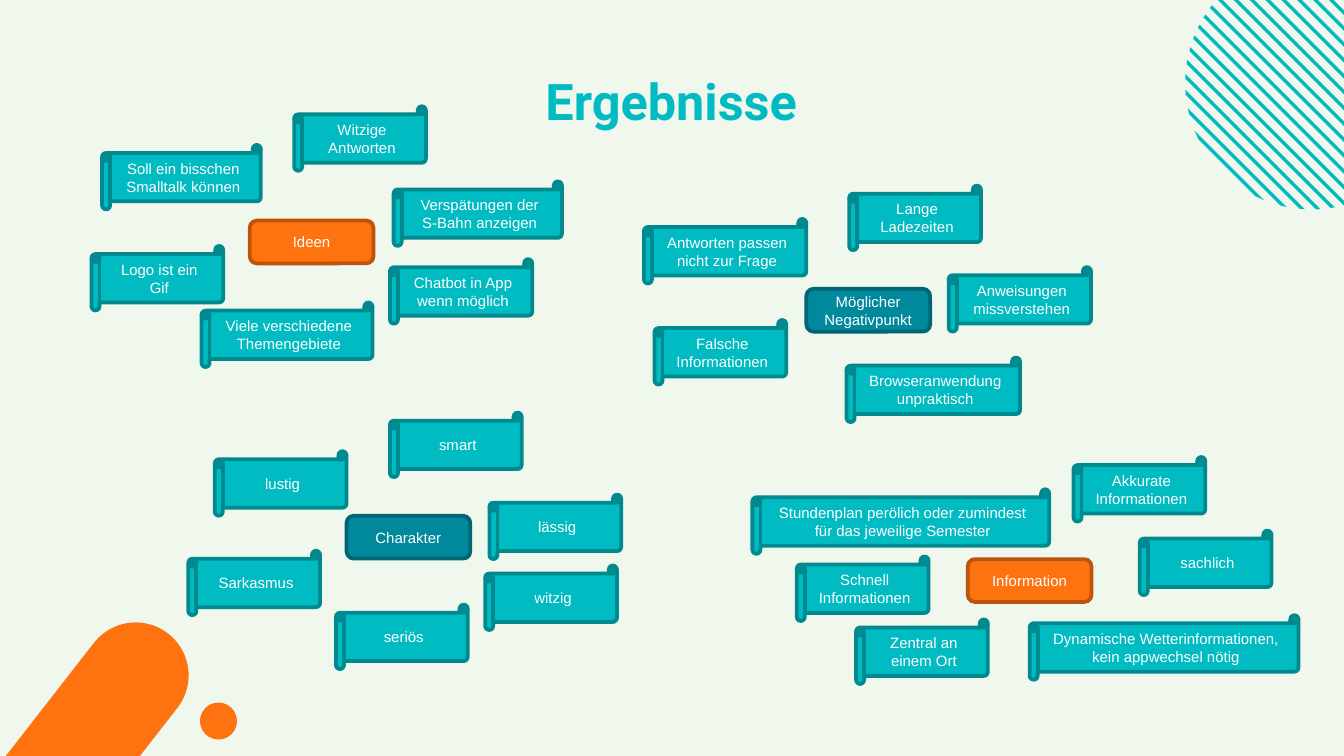
from dataclasses import dataclass
from math import sqrt

from pptx import Presentation
from pptx.dml.color import RGBColor
from pptx.enum.shapes import MSO_SHAPE
from pptx.enum.text import MSO_ANCHOR, MSO_AUTO_SIZE, PP_ALIGN
from pptx.util import Cm, Pt


@dataclass(frozen=True)
class Theme:
    background: str = "F0F7ED"
    turquoise: str = "00BBC1"
    turquoise_dark: str = "008A8F"
    orange: str = "FF7210"
    orange_dark: str = "BD540C"
    petrol: str = "00899D"
    petrol_dark: str = "006574"
    white: str = "FFFFFF"
    title_font: str = "Roboto"
    label_font: str = "Arial"
    title_size: int = 27
    label_size: int = 8
    line_width: int = 2


theme = Theme()


def paint(shape, fill, line=None):
    shape.shadow.inherit = False
    shape.fill.solid()
    shape.fill.fore_color.rgb = RGBColor.from_string(fill)
    if line:
        shape.line.color.rgb = RGBColor.from_string(line)
        shape.line.width = Pt(theme.line_width)
    else:
        shape.line.fill.background()


def write(shape, text, font, size, color, bold=False):
    shape.text_frame.text = text
    shape.text_frame.word_wrap = True
    paragraph = shape.text_frame.paragraphs[0]
    paragraph.alignment = PP_ALIGN.CENTER
    run = paragraph.runs[0]
    run.font.name = font
    run.font.size = Pt(size)
    run.font.bold = bold
    run.font.color.rgb = RGBColor.from_string(color)


# Slide and background
presentation = Presentation()
presentation.slide_width = Cm(25.4)
presentation.slide_height = Cm(14.29)
slide = presentation.slides.add_slide(presentation.slide_layouts[5])
slide.background.fill.solid()
slide.background.fill.fore_color.rgb = RGBColor.from_string(theme.background)

# Striped circle: 45-degree bands, each cut off where it meets the circle
center_x, center_y, radius = 24.79, 1.57, 2.39
stripe_count, stripe_step, stripe_width = 18, 0.3, 0.09
first_stripe = 25.16 - (center_x - center_y)
for index in range(stripe_count):
    middle = first_stripe - index * stripe_step
    corners = []
    for side in (1, -1):
        offset = middle + side * stripe_width / 2
        reach = sqrt(radius ** 2 / 2 - offset ** 2 / 4)
        for end in (-side, side):
            corners.append((Cm(center_x + offset / 2 + end * reach),
                            Cm(center_y - offset / 2 + end * reach)))
    builder = slide.shapes.build_freeform(*corners[0])
    builder.add_line_segments(corners[1:], close=True)
    paint(builder.convert_to_shape(), theme.turquoise)

# Orange bar and dot in the lower left corner
bar = slide.shapes.add_shape(
    MSO_SHAPE.ROUNDED_RECTANGLE, Cm(-8.96), Cm(16.91), Cm(15.04), Cm(2))
bar.adjustments[0] = 0.5
bar.rotation = 307.9
paint(bar, theme.orange)
dot = slide.shapes.add_shape(
    MSO_SHAPE.OVAL, Cm(3.78), Cm(13.28), Cm(0.7), Cm(0.7))
paint(dot, theme.orange)

# Title
title = slide.shapes.title
title.left, title.top, title.width, title.height = Cm(2.97), Cm(1.07), Cm(19.43), Cm(1.55)
write(title, "Ergebnisse", theme.title_font, theme.title_size, theme.turquoise, bold=True)
frame = title.text_frame
frame.auto_size = MSO_AUTO_SIZE.NONE
frame.vertical_anchor = MSO_ANCHOR.TOP
frame.margin_left = frame.margin_right = frame.margin_top = frame.margin_bottom = Cm(0.25)

# Topics with their answers: text, left, top, width
HUB_WIDTH, HUB_HEIGHT = 2.34, 0.81
NOTE_WIDTH, NOTE_HEIGHT = 2.49, 1.22
orange_hub = (theme.orange, theme.orange_dark)
petrol_hub = (theme.petrol, theme.petrol_dark)
note_colors = (theme.turquoise, theme.turquoise_dark)

clusters = [
    (("Ideen", 4.72, 4.17), orange_hub, [
        ("Soll ein bisschen Smalltalk können", 1.93, 2.74, 3),
        ("Logo ist ein Gif", 1.73, 4.65, NOTE_WIDTH),
        ("Viele verschiedene Themengebiete", 3.81, 5.72, 3.23),
        ("Witzige Antworten", 5.56, 2.01, NOTE_WIDTH),
        ("Verspätungen der S-Bahn anzeigen", 7.44, 3.43, 3.18),
        ("Chatbot in App wenn möglich", 7.37, 4.9, 2.69),
    ]),
    (("Möglicher Negativpunkt", 15.24, 5.46), petrol_hub, [
        ("Antworten passen nicht zur Frage", 12.17, 4.14, 3.07),
        ("Falsche Informationen", 12.37, 6.05, NOTE_WIDTH),
        ("Lange Ladezeiten", 16.05, 3.51, NOTE_WIDTH),
        ("Anweisungen missverstehen", 17.93, 5.05, 2.69),
        ("Browseranwendung unpraktisch", 16, 6.76, 3.28),
    ]),
    (("Charakter", 6.55, 9.75), petrol_hub, [
        ("lustig", 4.06, 8.53, NOTE_WIDTH),
        ("Sarkasmus", 3.56, 10.41, NOTE_WIDTH),
        ("seriös", 6.35, 11.43, NOTE_WIDTH),
        ("smart", 7.37, 7.8, NOTE_WIDTH),
        ("lässig", 9.25, 9.35, NOTE_WIDTH),
        ("witzig", 9.17, 10.69, NOTE_WIDTH),
    ]),
    (("Information", 18.29, 10.57), orange_hub, [
        ("Stundenplan perölich oder zumindest für das jeweilige Semester", 14.22, 9.25, 5.61),
        ("Dynamische Wetterinformationen, kein appwechsel nötig", 19.46, 11.63, 5.08),
        ("Schnell Informationen", 15.06, 10.52, NOTE_WIDTH),
        ("Akkurate Informationen", 20.29, 8.64, NOTE_WIDTH),
        ("sachlich", 21.54, 10.03, NOTE_WIDTH),
        ("Zentral an einem Ort", 16.18, 11.71, NOTE_WIDTH),
    ]),
]

for hub, hub_colors, notes in clusters:
    boxes = [(MSO_SHAPE.ROUNDED_RECTANGLE, hub_colors, HUB_HEIGHT, (*hub, HUB_WIDTH))]
    boxes += [(MSO_SHAPE.HORIZONTAL_SCROLL, note_colors, NOTE_HEIGHT, note) for note in notes]
    for kind, colors, height, (text, left, top, width) in boxes:
        box = slide.shapes.add_shape(kind, Cm(left), Cm(top), Cm(width), Cm(height))
        paint(box, *colors)
        write(box, text, theme.label_font, theme.label_size, theme.white)
        box.text_frame.vertical_anchor = MSO_ANCHOR.MIDDLE
        box.text_frame.margin_left = box.text_frame.margin_right = Cm(0.23)

presentation.save("out.pptx")
